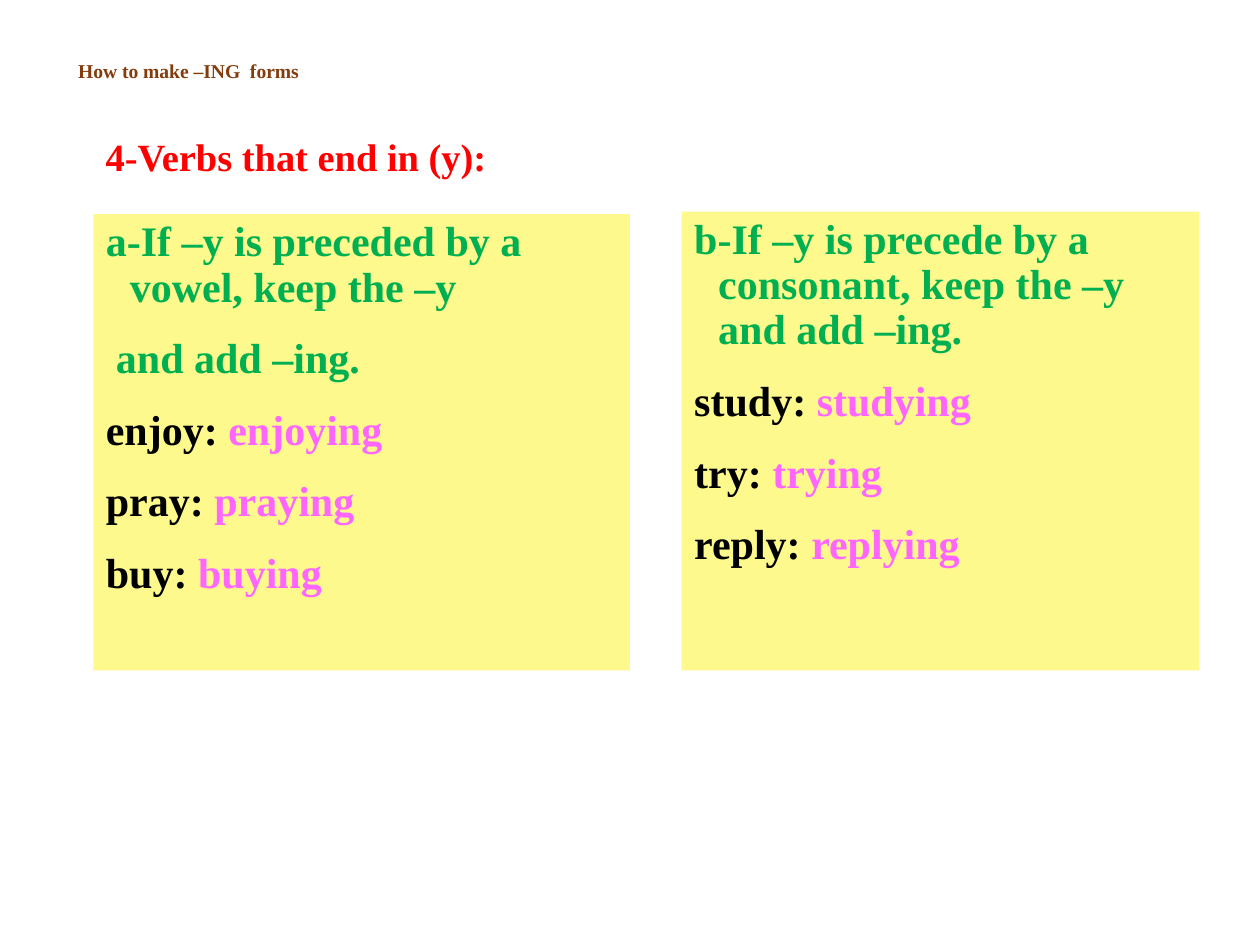
from pptx import Presentation
from pptx.dml.color import RGBColor
from pptx.enum.text import MSO_ANCHOR as Anchor, MSO_AUTO_SIZE as AutoSize, PP_ALIGN as Align
from pptx.util import Inches, Pt
from lxml.etree import SubElement
from pptx.oxml.ns import qn

COLORS = {"brown": "843C0C", "red": "FF0000", "green": "00B050", "black": "000000",
          "pink": "FF66FF", "yellow": "FEF98C", "white": "FFFFFF"}

# Content: each line is (first-line indent, [(text, color), ...])
TITLE = "How to make –ING  forms"
SUBTITLE = "4-Verbs that end in (y):"
HANGING = -0.19
CONTINUED = -0.11


def rule(text, indent=HANGING):
    return indent, [(text, "green")]


def example(verb, form):
    return HANGING, [(f"{verb}: ", "black"), (form, "pink")]


PANELS = [
    ((0.74, 1.7, 4.26, 3.62), [
        rule("a-If –y is preceded by a vowel, keep the –y"),
        rule("and add –ing.", CONTINUED),
        example("enjoy", "enjoying"),
        example("pray", "praying"),
        example("buy", "buying"),
    ]),
    ((5.41, 1.68, 4.11, 3.64), [
        rule("b-If –y is precede by a consonant, keep the –y and add –ing."),
        example("study", "studying"),
        example("try", "trying"),
        example("reply", "replying"),
    ]),
]


def place(shape, area, fill=None, anchor=Anchor.TOP):
    for name, value in zip(("left", "top", "width", "height"), area):
        setattr(shape, name, Inches(value))
    if fill:
        shape.fill.solid()
        shape.fill.fore_color.rgb = RGBColor.from_string(COLORS[fill])
    frame = shape.text_frame
    settings = {"word_wrap": True, "auto_size": AutoSize.NONE, "vertical_anchor": anchor}
    for name, value in settings.items():
        setattr(frame, name, value)
    return frame


def add_span(para, text, size, color):
    span = para.add_run()
    span.text = text
    font_format = {"name": "Times New Roman", "size": Pt(size), "bold": True}
    for name, value in font_format.items():
        setattr(span.font, name, value)
    span.font.color.rgb = RGBColor.from_string(COLORS[color])


deck = Presentation()
deck.slide_width, deck.slide_height = Inches(10), Inches(7.5)
page = deck.slides.add_slide(deck.slide_layouts.get_by_name("Two Content"))
title, *bodies = page.placeholders

# Rule panels
for body, (area, lines) in zip(bodies, PANELS):
    frame = place(body, area, "yellow")
    for number, (indent, spans) in enumerate(lines):
        para = frame.add_paragraph() if number else frame.paragraphs[0]
        properties = para._p.get_or_add_pPr()
        properties.set("marL", str(Inches(0.19)))
        properties.set("indent", str(Inches(indent)))
        SubElement(properties, qn("a:buNone"))
        para.line_spacing = 0.9
        para.space_before = Pt(15 if number else 0)
        for text, color in spans:
            add_span(para, text, 24, color)

# Title, set slightly above the middle of its box
frame = place(title, (0.52, 0.29, 9, 0.63), "white", Anchor.MIDDLE)
frame.margin_bottom = Inches(0.14)
frame.paragraphs[0].alignment = Align.LEFT
add_span(frame.paragraphs[0], TITLE, 11.2, "brown")

# Subtitle
area = (0.74, 1.01, 7.29, 0.47)
box = page.shapes.add_textbox(*map(Inches, area))
frame = place(box, area)
add_span(frame.paragraphs[0], SUBTITLE, 22, "red")

deck.save("out.pptx")
